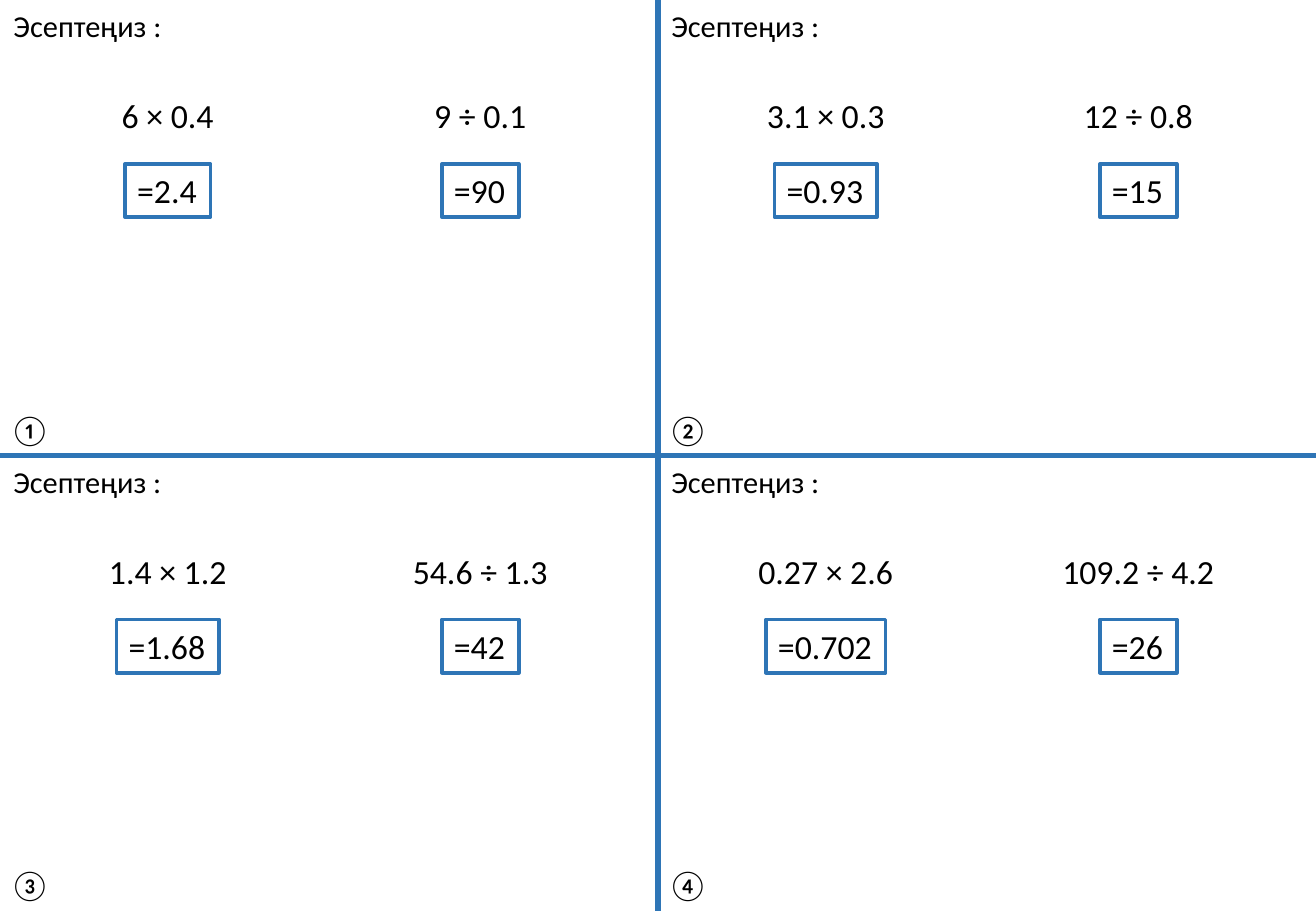
from dataclasses import dataclass

from lxml.etree import SubElement
from pptx import Presentation
from pptx.dml.color import RGBColor as Rgb
from pptx.enum.shapes import MSO_CONNECTOR as Link, MSO_SHAPE as Form
from pptx.enum.text import MSO_ANCHOR as Anchor, MSO_AUTO_SIZE as Fit, PP_ALIGN as Align
from pptx.oxml.ns import qn
from pptx.util import Inches, Pt

WIDE, HIGH = Inches(10.83), Inches(7.5)
COL, ROW = WIDE / 100, HIGH / 100
HALF = 50


@dataclass(frozen=True)
class Theme:
    font: str = "Calibri"
    ink: Rgb = Rgb(0, 0, 0)
    blue: Rgb = Rgb(0x2E, 0x75, 0xB6)
    white: Rgb = Rgb(255, 255, 255)
    label: float = 18
    sum: float = 20
    rule: float = 3
    frame: float = 2.25


@dataclass(frozen=True)
class Sum:
    task: str
    result: str


@dataclass(frozen=True)
class Card:
    mark: str
    left: Sum
    right: Sum


THEME = Theme()
HEAD = "Эсептеңиз :"
CARDS = (
    Card("①", Sum("6 × 0.4", "=2.4"), Sum("9 ÷ 0.1", "=90")),
    Card("②", Sum("3.1 × 0.3", "=0.93"), Sum("12 ÷ 0.8", "=15")),
    Card("③", Sum("1.4 × 1.2", "=1.68"), Sum("54.6 ÷ 1.3", "=42")),
    Card("④", Sum("0.27 × 2.6", "=0.702"), Sum("109.2 ÷ 4.2", "=26")),
)


def place(x: float, y: float, wide: float, high: float) -> tuple:
    return round(x * COL), round(y * ROW), round(wide * COL), round(high * ROW)


def span(text: str, base: float) -> float:
    digits = sum(char.isdigit() for char in text)
    return base + 1.3 * digits + 0.65 * text.count(".")


def write(shape, text: str, size: float, align: Align) -> None:
    frame = shape.text_frame
    frame.text = text
    frame.word_wrap = False
    frame.auto_size = Fit.SHAPE_TO_FIT_TEXT
    frame.vertical_anchor = Anchor.TOP
    line = frame.paragraphs[0]
    line.alignment = align
    line.font.name = THEME.font
    line.font.size = Pt(size)
    line.font.color.rgb = THEME.ink


def label(slide, text: str, x: float, y: float, wide: float) -> None:
    box = slide.shapes.add_textbox(*place(x, y, wide, 5.4))
    write(box, text, THEME.label, Align.LEFT)


def title(slide, x: float, y: float, wide: float) -> None:
    head = slide.shapes.title
    head.left, head.top, head.width, head.height = place(x, y, wide, 5.4)
    write(head, HEAD, THEME.label, Align.LEFT)


def rule(slide, x1: float, y1: float, x2: float, y2: float) -> None:
    ends = round(x1 * COL), round(y1 * ROW), round(x2 * COL), round(y2 * ROW)
    line = slide.shapes.add_connector(Link.STRAIGHT, *ends)
    line.line.color.rgb = THEME.blue
    line.line.width = Pt(THEME.rule)
    SubElement(line._element.spPr, qn("a:effectLst"))


def draw_sum(slide, item: Sum, mid: float, top: float) -> None:
    wide = span(item.task, 4.43)
    task = slide.shapes.add_textbox(*place(mid - wide / 2, top + 9.8, wide, 5.85))
    write(task, item.task, THEME.sum, Align.CENTER)
    wide = span(item.result, 3.23)
    spot = place(mid - wide / 2, top + 18, wide, 5.85)
    box = slide.shapes.add_shape(Form.RECTANGLE, *spot)
    box.shadow.inherit = False
    box.fill.solid()
    box.fill.fore_color.rgb = THEME.white
    box.line.color.rgb = THEME.blue
    box.line.width = Pt(THEME.frame)
    write(box, item.result, THEME.sum, Align.JUSTIFY)


def draw_card(slide, card: Card, index: int) -> None:
    row, col = divmod(index, 2)
    x, y = col * HALF, row * HALF
    spot = x + 0.1, y + 0.13, 13.3
    if index == 0:
        title(slide, *spot)
    else:
        label(slide, HEAD, *spot)
    label(slide, card.mark, x - 0.15, y + 44.45, 5)
    draw_sum(slide, card.left, x + 12.75, y)
    draw_sum(slide, card.right, x + 36.5, y)


def main() -> None:
    deck = Presentation()
    deck.slide_width, deck.slide_height = WIDE, HIGH
    slide = deck.slides.add_slide(deck.slide_layouts.get_by_name("Title Only"))
    rule(slide, HALF, 0, HALF, 100)
    rule(slide, 0, HALF, 100, HALF)
    for index, card in enumerate(CARDS):
        draw_card(slide, card, index)
    deck.save("out.pptx")


if __name__ == "__main__":
    main()
